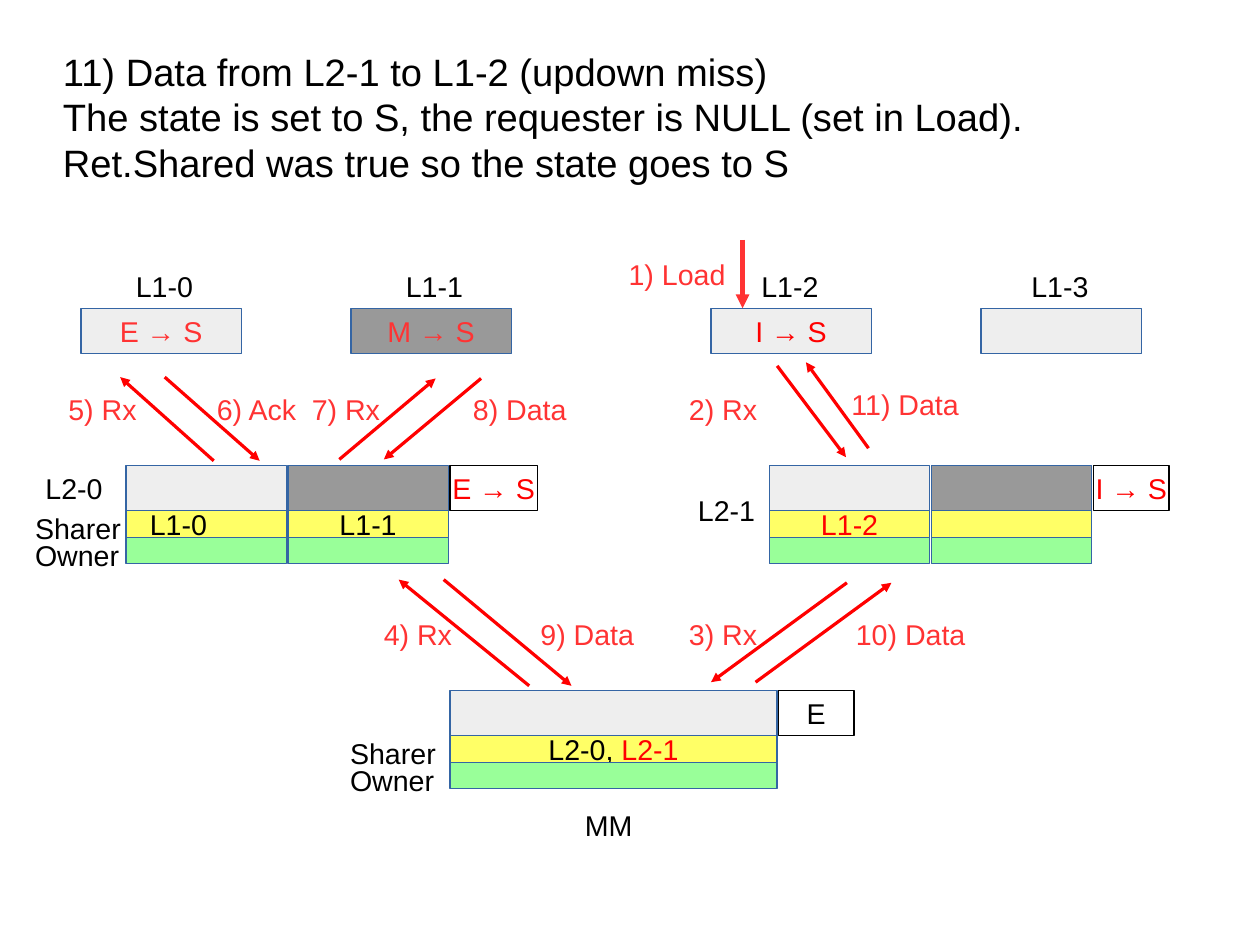
"""Build the cache coherence slide for step 11, data from L2-1 to L1-2."""
from dataclasses import dataclass

from lxml import etree
from pptx import Presentation
from pptx.dml.color import RGBColor
from pptx.enum.shapes import MSO_CONNECTOR, MSO_SHAPE
from pptx.enum.text import MSO_ANCHOR, PP_ALIGN
from pptx.oxml.ns import qn
from pptx.util import Cm, Pt

RECTANGLE = MSO_SHAPE.RECTANGLE
STRAIGHT = MSO_CONNECTOR.STRAIGHT
MIDDLE, TOP = MSO_ANCHOR.MIDDLE, MSO_ANCHOR.TOP
CENTER, LEFT = PP_ALIGN.CENTER, PP_ALIGN.LEFT
COLUMNS, ROWS = 28, 21
LINE_HEIGHT, ENTRY_HEIGHT = 1.01, 0.59
CACHE_WIDTH, CACHE_PITCH = 3.56, 3.6


@dataclass(frozen=True)
class Theme:
    """Colours, font and type sizes of the slide."""
    font: str = "Arial"
    title_size: int = 24
    body_size: int = 18
    ink: str = "000000"
    paper: str = "FFFFFF"
    message: str = "FF3333"
    change: str = "FF0000"
    outline: str = "3465A4"
    clean: str = "EEEEEE"
    dirty: str = "999999"
    sharer: str = "FFFF66"
    owner: str = "99FF99"


class Diagram:
    """Draws elements on one slide, placed in grid columns and rows."""

    def __init__(self, presentation, theme):
        self.theme = theme
        self.slide = presentation.slides.add_slide(presentation.slide_layouts[6])
        self.column = presentation.slide_width / COLUMNS
        self.row = presentation.slide_height / ROWS

    def place(self, *lengths):
        """Turn alternating columns and rows into slide lengths."""
        units = (self.column, self.row) * 2
        return [round(length * unit) for length, unit in zip(lengths, units)]

    def set_text(self, frame, runs, align, anchor, wrap=True, size=None):
        """Fill a text frame with one paragraph of coloured runs."""
        frame.word_wrap = wrap
        frame.vertical_anchor = anchor
        paragraph = frame.paragraphs[0]
        paragraph.alignment = align
        paragraph.font.name = self.theme.font
        paragraph.font.size = Pt(size or self.theme.body_size)
        for text, color in runs:
            run = paragraph.add_run()
            run.text = text
            run.font.color.rgb = RGBColor.from_string(color)

    def box(self, left, top, width, height, fill, runs=(), outline=None, indent=None):
        """Draw a rectangle with centred or indented text."""
        shape = self.slide.shapes.add_shape(RECTANGLE, *self.place(left, top, width, height))
        shape.shadow.inherit = False
        shape.fill.solid()
        shape.fill.fore_color.rgb = RGBColor.from_string(fill)
        shape.line.color.rgb = RGBColor.from_string(outline or self.theme.outline)
        shape.line.width = Pt(0)
        if runs:
            indented = indent is not None
            self.set_text(shape.text_frame, runs, LEFT if indented else CENTER, MIDDLE, indented)
            if indented:
                shape.text_frame.margin_left = round(indent * self.column)

    def label(self, left, top, text, color=None, width=2.45):
        """Add one line of plain text."""
        text_box = self.slide.shapes.add_textbox(*self.place(left, top, width, 0.97))
        self.set_text(text_box.text_frame, [(text, color or self.theme.ink)], LEFT, TOP)

    def title(self, lines):
        """Add the slide title, with a line break between its lines."""
        text_box = self.slide.shapes.add_textbox(*self.place(1.4, 0.84, 25.2, 3.51))
        frame = text_box.text_frame
        frame.margin_left = frame.margin_right = frame.margin_top = frame.margin_bottom = 0
        self.set_text(frame, [], LEFT, MIDDLE, size=self.theme.title_size)
        paragraph = frame.paragraphs[0]
        paragraph.font.color.rgb = RGBColor.from_string(self.theme.ink)
        for index, line in enumerate(lines):
            if index:
                paragraph.add_line_break()
            paragraph.add_run().text = line

    def arrow(self, start, end, color=None, weight=0):
        """Draw a straight arrow."""
        connector = self.slide.shapes.add_connector(STRAIGHT, *self.place(*start, *end))
        connector.line.color.rgb = RGBColor.from_string(color or self.theme.change)
        connector.line.width = Pt(weight)
        properties = connector.element.spPr
        etree.SubElement(properties.get_or_add_ln(), qn("a:tailEnd"), type="triangle")
        etree.SubElement(properties, qn("a:effectLst"))

    def cache(self, left, top, width, fill, sharers=(), indent=None):
        """Draw a cache line above its sharer and owner entries."""
        self.box(left, top, width, LINE_HEIGHT, fill)
        top += LINE_HEIGHT
        self.box(left, top, width, ENTRY_HEIGHT, self.theme.sharer, sharers, indent=indent)
        self.box(left, top + ENTRY_HEIGHT, width, ENTRY_HEIGHT, self.theme.owner)

    def directory_names(self, left, top):
        """Name the sharer and owner entries."""
        for step, text in enumerate(("Sharer", "Owner")):
            self.label(left, top + step * 0.6, text)

    def state(self, left, top, width, text, color):
        """Draw a framed state beside a cache."""
        self.box(left, top, width, LINE_HEIGHT, self.theme.paper, [(text, color)], self.theme.ink)


def main():
    """Draw the slide and save it."""
    presentation = Presentation()
    presentation.slide_width, presentation.slide_height = Cm(COLUMNS), Cm(ROWS)
    theme = Theme()
    diagram = Diagram(presentation, theme)
    diagram.title([
        "11) Data from L2-1 to L1-2 (updown miss)",
        "The state is set to S, the requester is NULL (set in Load). "
        "Ret.Shared was true so the state goes to S",
    ])

    level_one = [
        ("L1-0", 1.8, 2.77, theme.clean, [("E → S", theme.message)]),
        ("L1-1", 7.8, 8.77, theme.dirty, [("M → S", theme.message)]),
        ("L1-2", 15.8, 16.67, theme.clean, [("I → S", theme.change)]),
        ("L1-3", 21.8, 22.67, theme.clean, []),
    ]
    for name, left, name_left, fill, runs in level_one:
        diagram.box(left, 6.85, CACHE_WIDTH, LINE_HEIGHT, fill, runs)
        diagram.label(name_left, 5.85, name)

    level_two = [
        (2.8, [("L1-0", theme.ink)], 0.53, [("L1-1", theme.ink)], "E → S", 1.94),
        (17.1, [("L1-2", theme.change)], None, [], "I → S", 1.68),
    ]
    for left, first, indent, second, state, state_width in level_two:
        diagram.cache(left, 10.34, CACHE_WIDTH, theme.clean, first, indent)
        diagram.cache(left + CACHE_PITCH, 10.34, CACHE_WIDTH, theme.dirty, second)
        diagram.state(left + 2 * CACHE_PITCH, 10.34, state_width, state, theme.change)

    memory_sharers = [("L2-0,", theme.ink), (" L2-1", theme.change)]
    diagram.cache(10, 15.34, 7.27, theme.clean, memory_sharers)
    diagram.state(17.3, 15.34, 1.68, "E", theme.ink)
    diagram.directory_names(0.53, 11.23)
    diagram.directory_names(7.53, 16.23)
    for left, top, name in [(0.76, 10.34, "L2-0"), (15.26, 10.84, "L2-1"), (12.75, 17.84, "MM")]:
        diagram.label(left, top, name)

    diagram.arrow((16.5, 5.33), (16.5, 6.85), theme.message, 2.89)
    diagram.label(13.72, 5.59, "1) Load", theme.message, 2.7)
    messages = [
        ("2) Rx", (15.06, 8.59), (17.27, 8.13), (18.8, 10.16)),
        ("3) Rx", (15.06, 13.59), (18.82, 12.95), (15.8, 15.16)),
        ("4) Rx", (8.28, 13.59), (11.76, 15.24), (8.86, 12.88)),
        ("5) Rx", (1.27, 8.59), (4.75, 10.24), (2.67, 8.38)),
        ("6) Ack", (4.57, 8.59), (3.66, 8.38), (5.77, 10.24)),
        ("7) Rx", (6.68, 8.59), (7.54, 10.21), (9.68, 8.41)),
        ("8) Data", (10.26, 8.59), (10.69, 8.41), (8.53, 10.21)),
        ("9) Data", (11.76, 13.59), (9.86, 12.88), (12.7, 15.24)),
        ("10) Data", (18.77, 13.59), (16.79, 15.16), (19.81, 12.95)),
        ("11) Data", (18.67, 8.48), (19.3, 9.96), (17.91, 8.05)),
    ]
    for text, position, start, end in messages:
        diagram.arrow(start, end)
        diagram.label(*position, text, theme.message, 3.1 if "Data" in text else 2.54)

    presentation.save("out.pptx")


if __name__ == "__main__":
    main()
